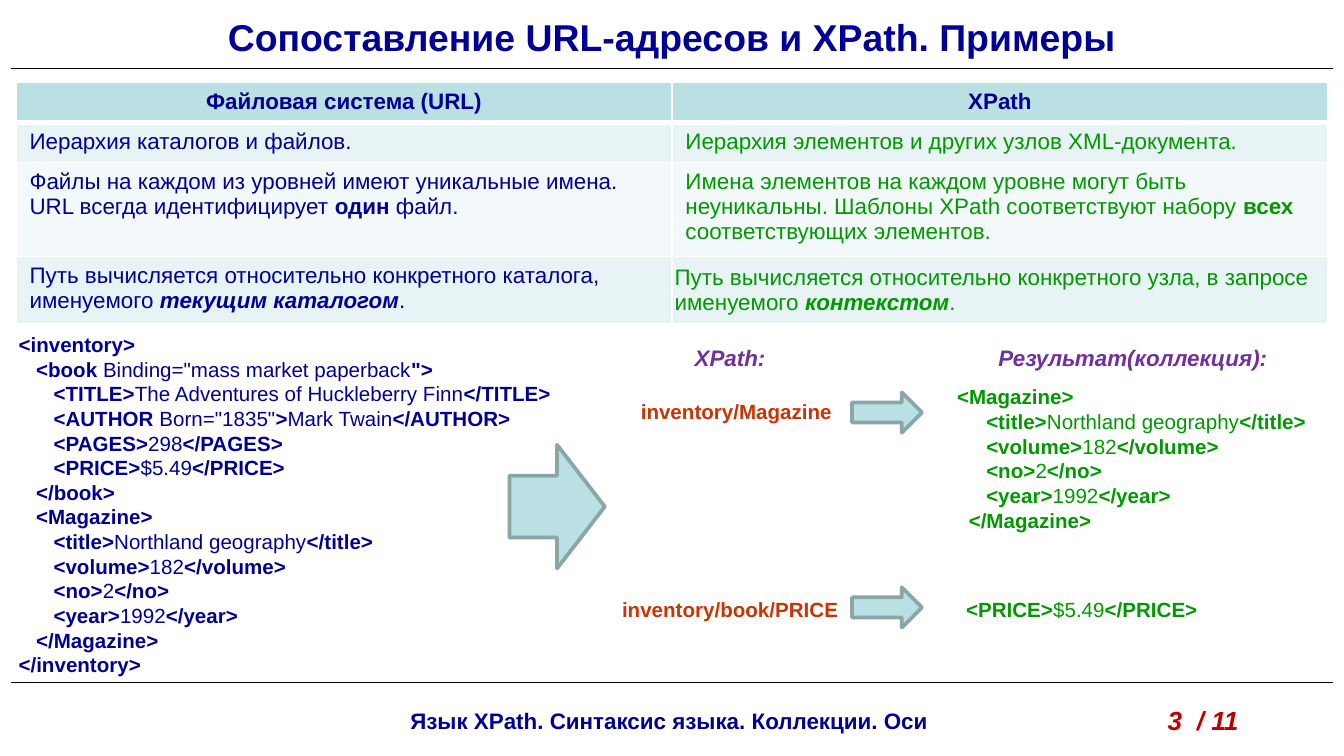
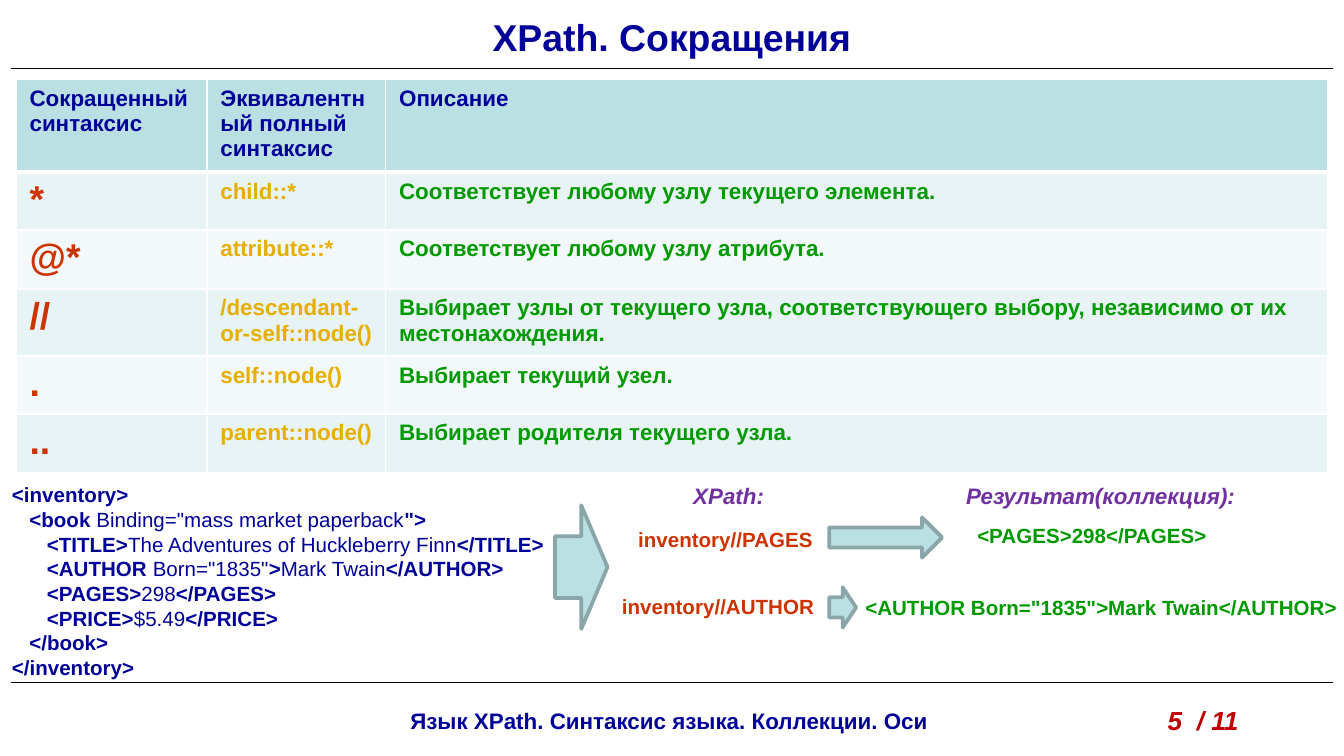
from dataclasses import dataclass

from lxml.etree import SubElement
from pptx import Presentation
from pptx.dml.color import RGBColor
from pptx.enum.shapes import MSO_CONNECTOR, MSO_SHAPE
from pptx.enum.text import MSO_ANCHOR, MSO_AUTO_SIZE, PP_ALIGN
from pptx.oxml.ns import qn
from pptx.util import Inches, Pt


@dataclass(frozen=True)
class Theme:
    font: str = "Arial"
    navy: str = "000099"
    green: str = "009900"
    orange: str = "CC3300"
    gold: str = "E6AF00"
    purple: str = "7030A0"
    red: str = "C00000"
    black: str = "000000"
    white: str = "FFFFFF"
    teal: str = "BBE0E3"
    teal_edge: str = "8AA6A8"
    bands: tuple = ("E7F3F4", "F3F9FA")
    title: int = 20
    page: int = 14
    body: int = 12
    code: int = 11


T = Theme()
LEVEL = 0.13


def add_runs(p, text, size, color, bold=True, italic=False):
    for i, part in enumerate(text.split("|")):
        if part:
            r = p.add_run()
            r.text = part.lstrip("~")
            r.font.name = T.font
            r.font.size = Pt(size)
            r.font.bold = bold == (i % 2 == 0)
            r.font.italic = italic or part.startswith("~")
            r.font.color.rgb = RGBColor.from_string(color)


def add_text(s, box, lines, size, color, italic=False, wrap=True, align=PP_ALIGN.LEFT):
    sp = s.shapes.add_textbox(*map(Inches, box))
    tf = sp.text_frame
    tf.word_wrap = wrap
    tf.auto_size = MSO_AUTO_SIZE.NONE
    for i, (level, text) in enumerate(lines):
        p = tf.paragraphs[0] if i == 0 else tf.add_paragraph()
        p.alignment = align
        if level:
            pPr = p._p.get_or_add_pPr()
            pPr.set("marL", str(Inches(level * LEVEL)))
            pPr.set("indent", "0")
        add_runs(p, text, size, color, italic=italic)
    return sp


book = [
    (0, "<inventory>"),
    (1, "<book |Binding=\"mass market paperback|\">"),
    (2, "<TITLE>|The Adventures of Huckleberry Finn|</TITLE>"),
    (2, "<AUTHOR |Born=\"1835\"|>|Mark Twain|</AUTHOR>"),
    (2, "<PAGES>|298|</PAGES>"),
    (2, "<PRICE>|$5.49|</PRICE>"),
    (1, "</book>"),
]
magazine = [
    (2, "<title>|Northland geography|</title>"),
    (2, "<volume>|182|</volume>"),
    (2, "<no>|2|</no>"),
    (2, "<year>|1992|</year>"),
    (1, "</Magazine>"),
]
inventory_end = [(0, "</inventory>")]

slides = [
    dict(
        title="Сопоставление URL-адресов и XPath. Примеры",
        page="3  / 11",
        table_top=0.61,
        cols=[4.88, 4.88],
        rows=[0.3, 0.3, 0.7, 0.5],
        header_align=PP_ALIGN.CENTER,
        bold=False,
        styles=[(T.body, T.navy), (T.body, T.green)],
        cells=[
            ["Файловая система (URL)", "XPath"],
            ["Иерархия каталогов и файлов.",
             "Иерархия элементов и других узлов XML-документа."],
            ["Файлы на каждом из уровней имеют уникальные имена. "
             "URL всегда идентифицирует |один| файл.",
             "Имена элементов на каждом уровне могут быть неуникальны. "
             "Шаблоны XPath соответствуют набору |всех |соответствующих элементов."],
            ["Путь вычисляется относительно конкретного каталога, "
             "именуемого |~текущим каталогом|.",
             "Путь вычисляется относительно конкретного узла, в запросе "
             "именуемого |~контекстом|."],
        ],
        tight_cell=(3, 1),
        code_box=(0.04, 2.42, 5.91, 2.69),
        code=book + [(1, "<Magazine>")] + magazine + inventory_end,
        heads=[((5.07, 2.51, 0.73, 0.3), "XPath:"),
               ((7.33, 2.51, 2.23, 0.3), "Результат(коллекция):")],
        queries=[((4.67, 2.92, 1.63, 0.29), "inventory/Magazine"),
                 ((4.53, 4.39, 1.82, 0.29), "inventory/book/PRICE")],
        results=[((6.98, 2.81, 2.91, 1.21), [(0.33, "<Magazine>")] + magazine),
                 ((7.09, 4.39, 1.93, 0.29), [(0, "<PRICE>|$5.49|</PRICE>")])],
        arrows=[(6.34, 2.92, 0.52, 0.3), (6.34, 4.37, 0.52, 0.3), (3.79, 3.31, 0.71, 0.92)],
    ),
    dict(
        title="XPath. Сокращения",
        page="5  / 11",
        table_top=0.59,
        cols=[1.42, 1.33, 7.01],
        rows=[0.69, 0.43, 0.44, 0.5, 0.43, 0.44],
        header_align=PP_ALIGN.LEFT,
        bold=True,
        styles=[(T.title, T.orange), (T.body, T.gold), (T.body, T.green)],
        cells=[
            ["Сокращенный синтаксис", "Эквивалентный полный синтаксис", "Описание"],
            ["*", "child::*", "Соответствует любому узлу текущего элемента."],
            ["@*", "attribute::*", "Соответствует любому узлу атрибута."],
            ["//", "/descendant-or-self::node()",
             "Выбирает узлы от текущего узла, соответствующего выбору, "
             "независимо от их местонахождения."],
            [".", "self::node()", "Выбирает текущий узел."],
            ["..", "parent::node()", "Выбирает родителя текущего узла."],
        ],
        tight_cell=None,
        code_box=(-0.01, 3.54, 5.91, 1.58),
        code=book + inventory_end,
        heads=[((5.06, 3.54, 0.73, 0.3), "XPath:"),
               ((7.09, 3.54, 2.23, 0.3), "Результат(коллекция):")],
        queries=[((4.65, 3.87, 1.56, 0.29), "inventory//PAGES"),
                 ((4.53, 4.37, 1.64, 0.29), "inventory//AUTHOR")],
        results=[((7.13, 3.84, 2.91, 0.29), [(0.33, "<PAGES>298</PAGES>")]),
                 ((6.34, 4.38, 3.74, 0.29),
                  [(0, "<AUTHOR Born=\"1835\">Mark Twain</AUTHOR>")])],
        arrows=[(6.17, 3.85, 0.84, 0.3), (4.13, 3.76, 0.39, 0.92), (6.17, 4.37, 0.2, 0.3)],
    ),
]

prs = Presentation()
prs.slide_width = Inches(10)
prs.slide_height = Inches(10 * 9 / 16)
layout = prs.slide_layouts[5]

for number, data in enumerate(slides):
    s = prs.slides.add_slide(layout)

    if number == 0:
        shared = [add_text(s, (1.25, 5.21, 7.46, 0.3),
                           [(0, "Язык XPath. Синтаксис языка. Коллекции. Оси")],
                           T.body, T.navy, align=PP_ALIGN.CENTER)]
        for y in (0.51, 5.08):
            rule = s.shapes.add_connector(MSO_CONNECTOR.STRAIGHT, Inches(0.08), Inches(y),
                                          Inches(9.92), Inches(y))
            rule.line.color.rgb = RGBColor.from_string(T.black)
            rule.line.width = Pt(0.75)
            SubElement(rule.element.spPr, qn("a:effectLst"))
            shared.append(rule)
        for sp in shared:
            layout.element.cSld.spTree.append(sp.element)

    title = s.shapes.title
    title.left, title.top, title.width, title.height = map(Inches, (0, 0.06, 10, 0.45))
    tf = title.text_frame
    tf.auto_size = MSO_AUTO_SIZE.NONE
    tf.vertical_anchor = MSO_ANCHOR.MIDDLE
    tf.margin_bottom = Inches(0.08)
    tf.paragraphs[0].alignment = PP_ALIGN.CENTER
    add_runs(tf.paragraphs[0], data["title"], T.title, T.navy)
    add_text(s, (8.59, 5.19, 1.02, 0.34), [(0, data["page"])], T.page, T.red, italic=True)

    cols, rows = data["cols"], data["rows"]
    table = s.shapes.add_table(len(rows), len(cols), Inches(0.12), Inches(data["table_top"]),
                               Inches(sum(cols)), Inches(sum(rows))).table
    for col, width in zip(table.columns, cols):
        col.width = Inches(width)
    for i, height in enumerate(rows):
        table.rows[i].height = Inches(height)
        for j, text in enumerate(data["cells"][i]):
            cell = table.cell(i, j)
            tcPr = cell._tc.get_or_add_tcPr()
            for side in ("lnL", "lnR", "lnT", "lnB"):
                thick = (i, side) in ((0, "lnB"), (1, "lnT"))
                ln = SubElement(tcPr, qn(f"a:{side}"), w=str(Pt(3 if thick else 1)))
                SubElement(SubElement(ln, qn("a:solidFill")), qn("a:srgbClr"), val=T.white)
            cell.fill.solid()
            fill = T.teal if i == 0 else T.bands[(i - 1) % 2]
            cell.fill.fore_color.rgb = RGBColor.from_string(fill)
            p = cell.text_frame.paragraphs[0]
            if i == 0:
                p.alignment = data["header_align"]
                add_runs(p, text, T.body, T.navy)
            else:
                add_runs(p, text, *data["styles"][j], bold=data["bold"])
            if (i, j) == data["tight_cell"]:
                cell.vertical_anchor = MSO_ANCHOR.MIDDLE
                cell.margin_left = cell.margin_right = Inches(0.02)
                cell.margin_top = cell.margin_bottom = Inches(0.02)

    add_text(s, data["code_box"], data["code"], T.code, T.navy)
    for box, text in data["heads"]:
        add_text(s, box, [(0, text)], T.body, T.purple, italic=True, wrap=False)
    for box, text in data["queries"]:
        add_text(s, box, [(0, text)], T.code, T.orange, wrap=False)
    for box, lines in data["results"]:
        add_text(s, box, lines, T.code, T.green)
    for box in data["arrows"]:
        sp = s.shapes.add_shape(MSO_SHAPE.RIGHT_ARROW, *map(Inches, box))
        sp.shadow.inherit = False
        sp.fill.solid()
        sp.fill.fore_color.rgb = RGBColor.from_string(T.teal)
        sp.line.color.rgb = RGBColor.from_string(T.teal_edge)
        sp.line.width = Pt(2)

prs.save("out.pptx")
